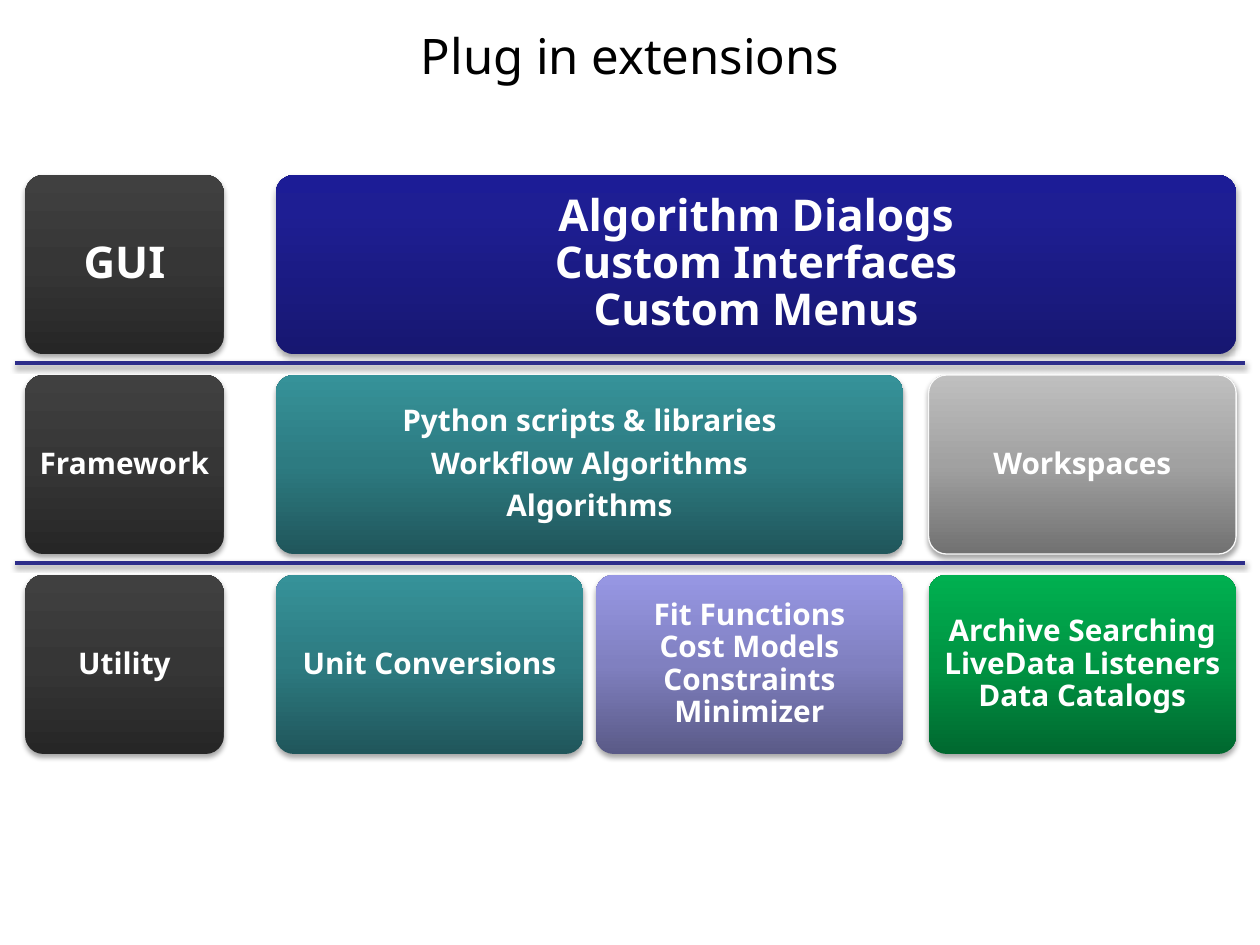
from lxml import etree
from pptx import Presentation
from pptx import util as u
from pptx.dml.color import RGBColor
from pptx.enum import shapes, text
from pptx.oxml import parse_xml
from pptx.oxml.ns import nsdecls, qn

THEME = {
    "font": "Noto Sans",
    "title": ("000000", 28),
    "label": "FFFFFF",
    "large": 25,
    "small": 17,
    "divider": "2D2D8A",
    "outline": "F9F9F9",
    # gradient stops from the bottom edge to the top edge
    "charcoal": ((0, "262626"), (50, "363636"), (100, "404040")),
    "navy": ((0, "171771"), (80, "1E1E93"), (100, "1C1C96")),
    "teal": ((0, "20565B"), (50, "2D7B81"), (100, "369299")),
    "violet": ((0, "5A5A87"), (50, "8080C0"), (100, "9797E4")),
    "grey": ((0, "717171"), (50, "A1A1A1"), (100, "BFBFBF")),
    "green": ((0, "00682F"), (50, "009443"), (100, "00B050")),
}


def add_shadow(item, opacity, distance):
    effects = parse_xml(
        f'<a:effectLst {nsdecls("a")}><a:outerShdw blurRad="{u.Pt(3.1)}" '
        f'dist="{u.Pt(distance)}" dir="5400000" rotWithShape="0">'
        f'<a:srgbClr val="000000"><a:alpha val="{opacity * 1000}"/></a:srgbClr>'
        '</a:outerShdw></a:effectLst>')
    item._element.spPr.append(effects)


def fill_upward(item, stops):
    """Give a shape a linear gradient that runs from bottom to top."""
    item.fill.gradient()
    gradient = item._element.spPr.find(qn("a:gradFill"))
    stop_list = gradient.find(qn("a:gsLst"))
    for old_stop in list(stop_list):
        stop_list.remove(old_stop)
    for position, color in stops:
        stop = etree.SubElement(stop_list, qn("a:gs"), pos=str(position * 1000))
        etree.SubElement(stop, qn("a:srgbClr"), val=color)
    gradient.find(qn("a:lin")).set("ang", "16200000")


prs = Presentation()
prs.slide_width, prs.slide_height = u.Cm(25.4), u.Cm(19.05)
slide = prs.slides.add_slide(prs.slide_layouts[5])

heading = slide.shapes.title
place = {"left": 1.27, "top": -0.48, "width": 22.86, "height": 3.18}
for name, value in place.items():
    setattr(heading, name, u.Cm(value))
heading.text_frame.text = "Plug in extensions"
heading.text_frame.vertical_anchor = text.MSO_ANCHOR.MIDDLE
heading_line = heading.text_frame.paragraphs[0]
heading_line.alignment = text.PP_ALIGN.CENTER
color, size = THEME["title"]
heading_line.font.name, heading_line.font.size = THEME["font"], u.Pt(size)
heading_line.font.color.rgb = RGBColor.from_string(color)

# Layer grid in centimetres: one label column, three content columns
LABEL_LEFT, LABEL_WIDTH = 0.51, 4
COLUMNS, COLUMN_WIDTH = (5.56, 12.01, 18.72), 6.2
TOP, PITCH, HEIGHT = 3.53, 4.03, 3.61

# Each layer: name, type size, blocks (first column, last column, fill, text);
# \v breaks a line, \n starts a paragraph
layers = [
    ("GUI", "large", [
        (0, 2, "navy", "Algorithm Dialogs\vCustom Interfaces\vCustom Menus")]),
    ("Framework", "small", [
        (0, 1, "teal", "Python scripts & libraries\nWorkflow Algorithms\nAlgorithms"),
        (2, 2, "grey", "Workspaces")]),
    ("Utility", "small", [
        (0, 0, "teal", "Unit Conversions"),
        (1, 1, "violet", "Fit Functions\vCost Models\vConstraints\vMinimizer"),
        (2, 2, "green", "Archive Searching\vLiveData Listeners\vData Catalogs")]),
]

for row, (layer, size, blocks) in enumerate(layers):
    cells = [(LABEL_LEFT, LABEL_WIDTH, "charcoal", layer)]
    for first, last, fill, words in blocks:
        width = COLUMNS[last] + COLUMN_WIDTH - COLUMNS[first]
        cells.append((COLUMNS[first], width, fill, words))
    for left, width, fill, words in cells:
        block = slide.shapes.add_shape(
            shapes.MSO_SHAPE.ROUNDED_RECTANGLE, u.Cm(left),
            u.Cm(TOP + row * PITCH), u.Cm(width), u.Cm(HEIGHT))
        block.adjustments[0] = 0.1
        fill_upward(block, THEME[fill])
        if fill == "grey":
            block.line.color.rgb = RGBColor.from_string(THEME["outline"])
            block.line.width = u.Pt(0.75)
        else:
            block.line.fill.background()
        add_shadow(block, 35, 1.8)

        frame = block.text_frame
        inset = u.Cm(0.15 if size == "large" else 0.08)
        frame_format = {
            "text": words, "word_wrap": True,
            "vertical_anchor": text.MSO_ANCHOR.MIDDLE,
            "auto_size": text.MSO_AUTO_SIZE.TEXT_TO_FIT_SHAPE,
            "margin_left": inset, "margin_right": inset,
            "margin_top": inset, "margin_bottom": inset}
        for name, value in frame_format.items():
            setattr(frame, name, value)
        for paragraph in frame.paragraphs:
            paragraph.alignment = text.PP_ALIGN.CENTER
            paragraph.line_spacing = 0.9
            paragraph.space_after = u.Pt(6)
            font_format = {"name": THEME["font"], "size": u.Pt(THEME[size]), "bold": True}
            for name, value in font_format.items():
                setattr(paragraph.font, name, value)
            paragraph.font.color.rgb = RGBColor.from_string(THEME["label"])

for gap in (1, 0):
    y = u.Cm(7.32 + gap * PITCH)
    divider = slide.shapes.add_connector(
        shapes.MSO_CONNECTOR.STRAIGHT, u.Cm(0.3), y, u.Cm(25.1), y)
    divider.line.color.rgb = RGBColor.from_string(THEME["divider"])
    divider.line.width = u.Pt(2)
    add_shadow(divider, 38, 1.6)

prs.save("out.pptx")
